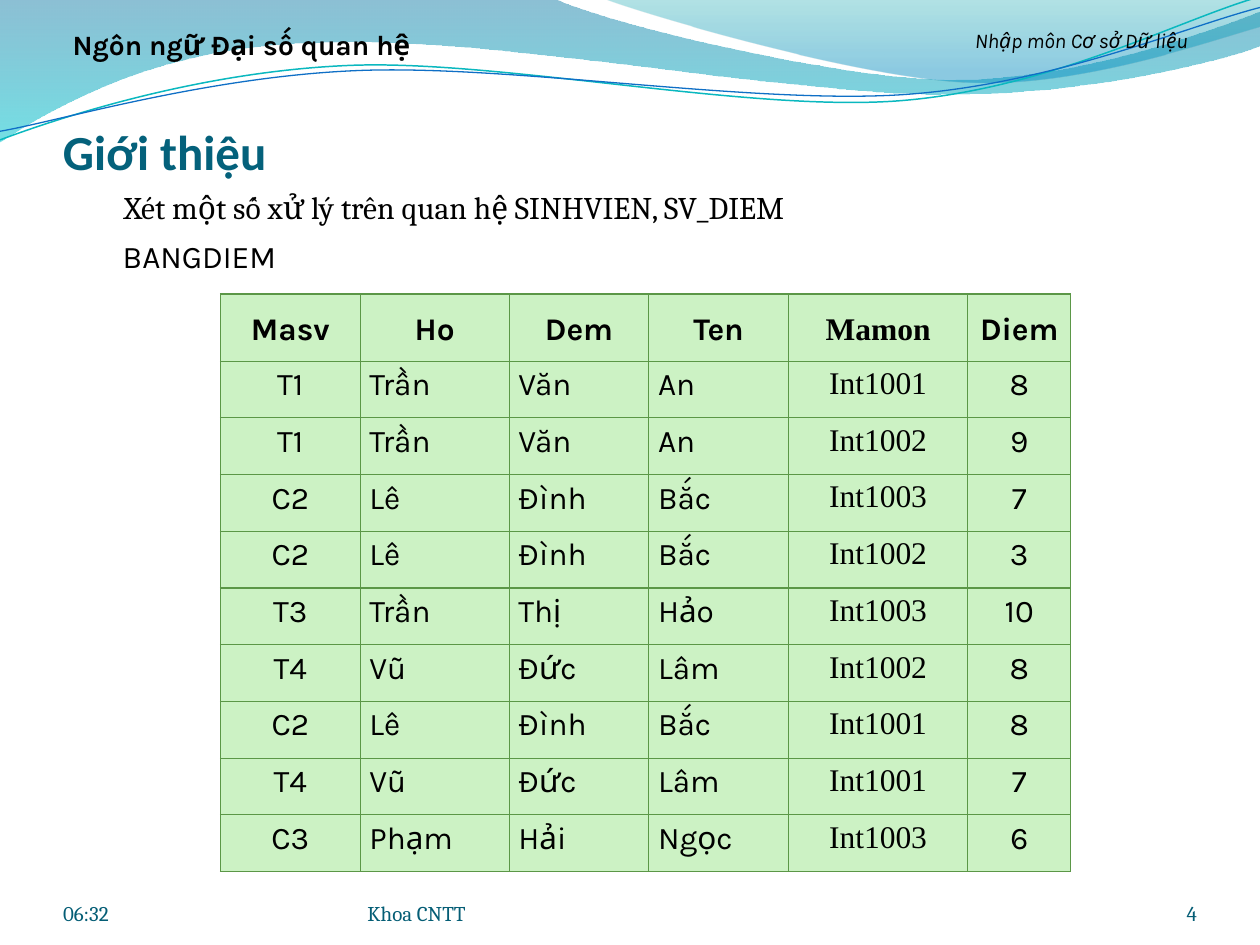
from dataclasses import dataclass

from lxml import etree
from pptx import Presentation
from pptx.dml.color import RGBColor
from pptx.enum import text as t
from pptx.oxml import ns
from pptx.util import Pt


@dataclass
class Theme:
    ink: str = "000000"
    title: str = "04617B"
    foot: str = "045D75"
    cell: str = "CCF2C4"
    rule: str = "5B9747"
    teal: str = "0AB8BF"
    blue: str = "0F6FC6"
    big: int = 28
    body: int = 18
    head: int = 16
    small: int = 12
    sans: str = "Karla"
    serif: str = "Cambria"
    times: str = "Times New Roman"


look = Theme()
left, mid, right = t.PP_ALIGN.LEFT, t.PP_ALIGN.CENTER, t.PP_ALIGN.RIGHT
low, top = t.MSO_ANCHOR.BOTTOM, t.MSO_ANCHOR.TOP

deck = Presentation()
deck.slide_width, deck.slide_height = Pt(720), Pt(540)
page = deck.slides.add_slide(deck.slide_layouts[6])


def style(frame, words, face, size, color, align, bold=False, slant=False):
    frame.text = words
    para = frame.paragraphs[0]
    para.alignment = align
    font = para.runs[0].font
    font.name, font.size, font.bold, font.italic = face, Pt(size), bold, slant
    font.color.rgb = RGBColor.from_string(color)
    return para


def trace(start, parts, close):
    """Draw straight parts (x, y) and cubic parts (six numbers) from start."""
    dots = [(Pt(part[i]), Pt(part[i + 1]))
            for part in parts for i in range(0, len(part), 2)]
    pen = page.shapes.build_freeform(Pt(start[0]), Pt(start[1]))
    pen.add_line_segments(dots, close=close)
    shape = pen.convert_to_shape()
    shape.shadow.inherit = False
    # Turn each run of three points into one cubic curve
    steps = iter(list(shape.element.spPr.iter(ns.qn("a:lnTo"))))
    for part in parts:
        step = next(steps)
        if len(part) == 6:
            bend = etree.Element(ns.qn("a:cubicBezTo"))
            step.addprevious(bend)
            for item in (step, next(steps), next(steps)):
                bend.append(item[0])
                item.getparent().remove(item)
    return shape


# Shaded waves: start, parts, gradient stops (place, colour, opacity)
waves = [
    ((0, -0.7),
     [(316.8, -0.7), (342.7, 12.2, 478.1, 45.4, 545.8, 45.4),
      (614.2, 45.4, 689.8, 18.7, 720, 6.5), (720.7, 25.9),
      (707.8, 31.7, 626.4, 54.7, 537.1, 54),
      (447.8, 54, 275, 20.2, 185, 24.5),
      (92.9, 25.2, 33.1, 59.8, -0.7, 81.4)],
     [(0, "0074A1", 45), (1, "00C6CF", 55)]),
    ((344.9, -0.7),
     [(366.5, 7.9, 491, 44.6, 553.7, 46.8),
      (616.3, 49.7, 691.9, 23, 720, 15.1), (720, 0)],
     [(0, "00A1A9", 30), (0.8, "008BBF", 45)]),
]
for start, parts, shades in waves:
    wave = trace(start, parts, True)
    wave.line.fill.background()
    wave.fill.gradient()
    wave.fill.gradient_angle = 270
    for stop, (place, color, solid) in zip(wave.fill.gradient_stops, shades):
        stop.position = place
        stop.color.rgb = RGBColor.from_string(color)
    for tone, shade in zip(wave.element.spPr.iter(ns.qn("a:srgbClr")), shades):
        etree.SubElement(tone, ns.qn("a:alpha"), val=str(shade[2] * 1000))

# Thin curves, tilted together
curves = [
    ((-1.4, 63),
     [(33.8, 51.7, 114.1, 29.4, 199.8, 29.9),
      (284.9, 30.3, 425.8, 67.3, 512.4, 64.9),
      (599, 62.4, 676.5, 25.7, 720.2, 15.5)], look.teal, 0.85),
    ((-1.1, 58),
     [(32.9, 53.8, 118.3, 32.5, 204.1, 33),
      (290.6, 33.4, 428.9, 63.1, 515.5, 61.4),
      (601.3, 59.6, 678.4, 30.1, 721.4, 21.3)], look.blue, 0.75),
]
for start, parts, color, width in curves:
    curve = trace(start, parts, False)
    curve.rotation = 357.3
    curve.fill.background()
    curve.line.color.rgb = RGBColor.from_string(color)
    curve.line.width = Pt(width)

# Text: box, insets, anchor, then words and style
plain, none = (7.2, 3.6, 7.2, 3.6), (0, 0, 0, 0)
foot = (look.serif, look.small, look.foot)
notes = [
    ((36, 54, 648, 49), (0, 3.6, 0, 0), low,
     ("Giới thiệu", "Calibri", look.big, look.title, left, True)),
    ((42, 96, 648, 48), (28.8, 11.6, 7.2, 3.6), top,
     ("Xét một số xử lý trên quan hệ SINHVIEN, SV_DIEM",
      look.serif, look.body, look.ink, left)),
    ((36, 500, 168, 28.8), none, low, ("06:32", *foot, left)),
    ((624, 500, 60, 28.8), none, low, ("4", *foot, right)),
    ((210, 500, 264, 28.8), none, low, ("Khoa CNTT", *foot, left)),
    ((516, 12, 204, 27), plain, top,
     ("Nhập môn Cơ sở Dữ liệu", look.sans, look.small, look.ink, mid,
      False, True)),
    ((18, 12, 240, 27), plain, top,
     ("Ngôn ngữ Đại số quan hệ", look.sans, look.head, look.ink, mid, True)),
    ((42, 132, 144, 29), plain, top,
     ("BANGDIEM", look.sans, look.body, look.ink, mid)),
]
for box, pads, anchor, words in notes:
    frame = page.shapes.add_textbox(*map(Pt, box)).text_frame
    frame.word_wrap = True
    frame.vertical_anchor = anchor
    (frame.margin_left, frame.margin_top,
     frame.margin_right, frame.margin_bottom) = map(Pt, pads)
    style(frame, *words)

# Grade table
rows = [
    ("Masv", "Ho", "Dem", "Ten", "Mamon", "Diem"),
    ("T1", "Trần", "Văn", "An", "Int1001", "8"),
    ("T1", "Trần", "Văn", "An", "Int1002", "9"),
    ("C2", "Lê", "Đình", "Bắc", "Int1003", "7"),
    ("C2", "Lê", "Đình", "Bắc", "Int1002", "3"),
    ("T3", "Trần", "Thị", "Hảo", "Int1003", "10"),
    ("T4", "Vũ", "Đức", "Lâm", "Int1002", "8"),
    ("C2", "Lê", "Đình", "Bắc", "Int1001", "8"),
    ("T4", "Vũ", "Đức", "Lâm", "Int1001", "7"),
    ("C3", "Phạm", "Hải", "Ngọc", "Int1003", "6"),
]
grid = page.shapes.add_table(
    len(rows), 6, Pt(126), Pt(168), Pt(486), Pt(330)).table
for col, width in zip(grid.columns, (79.8, 85.2, 79.8, 79.8, 102.4, 59)):
    col.width = Pt(width)
for r, row in enumerate(rows):
    grid.rows[r].height = Pt(32.4 if r else 38.4)
    for c, words in enumerate(row):
        cell = grid.cell(r, c)
        cell.margin_left = cell.margin_right = Pt(5.3)
        cell.margin_top = cell.margin_bottom = 0
        cell.vertical_anchor = top if r else t.MSO_ANCHOR.MIDDLE
        para = style(cell.text_frame, words,
                     look.times if c == 4 else look.sans, look.body, look.ink,
                     left if r and c in (1, 2, 3) else mid, r == 0)
        para.line_spacing = 1.15
        props = cell._tc.get_or_add_tcPr()
        for side in "LRTB":
            edge = etree.SubElement(props, ns.qn("a:ln" + side),
                                    w=str(Pt(0.75)))
            fill = etree.SubElement(edge, ns.qn("a:solidFill"))
            etree.SubElement(fill, ns.qn("a:srgbClr"), val=look.rule)
        cell.fill.solid()
        cell.fill.fore_color.rgb = RGBColor.from_string(look.cell)

deck.save("out.pptx")
